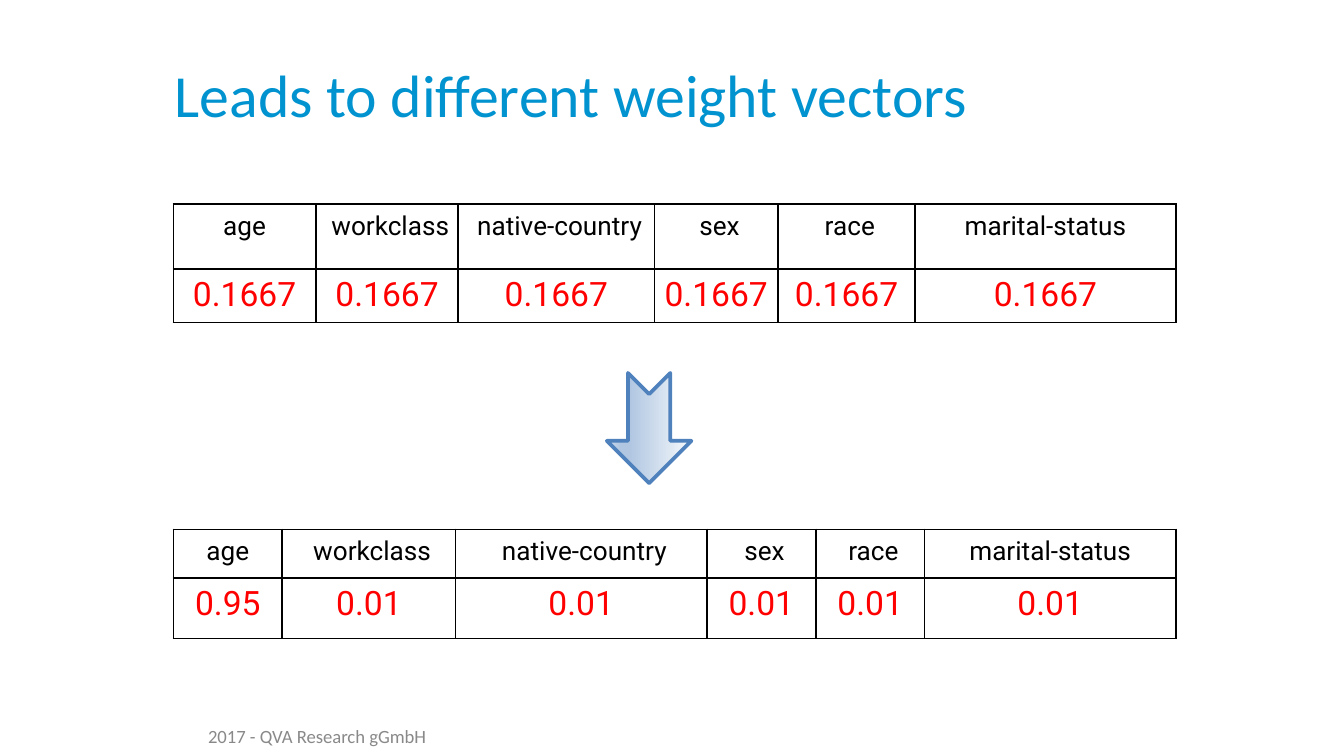
"""Builds the slide that compares two weight vectors."""
from pptx import Presentation
from pptx.dml.color import RGBColor
from pptx.enum.shapes import MSO_SHAPE as Shape
from pptx.enum.text import MSO_ANCHOR as Anchor, PP_ALIGN as Align
from pptx.oxml import parse_xml
from pptx.oxml.ns import nsdecls
from pptx.util import Inches, Pt

COLORS = {
    "title": "0093D0", "footer": "898989", "label": "000000",
    "weight": "FF0000", "border": "000000", "arrow_line": "4F81BD",
}
ARROW_STOPS = [(0, "F6F9FC"), (74, "B0C6E1"), (83, "B0C6E1"), (100, "CAD9EB")]
LABELS = ["age", " workclass", " native-country", " sex", " race", " marital-status "]
TABLES = [
    {"top": 1.52, "columns": [1.06, 1.06, 1.46, 0.92, 1.02, 1.94],
     "rows": [0.48, 0.35], "weights": ["0.1667"] * 6},
    {"top": 3.94, "columns": [0.81, 1.29, 1.87, 0.81, 0.81, 1.87],
     "rows": [0.36, 0.45], "weights": ["0.95"] + ["0.01"] * 5},
]


def write_text(frame, text, size, color, font="Calibri", align=Align.LEFT, anchor=Anchor.MIDDLE):
    frame.word_wrap = True
    frame.vertical_anchor = anchor
    paragraph = frame.paragraphs[0]
    paragraph.alignment = align
    run = paragraph.add_run()
    run.text = text
    run.font.name = font
    run.font.size = Pt(size)
    run.font.color.rgb = RGBColor.from_string(COLORS[color])


def format_cell(cell):
    cell.margin_left = cell.margin_right = Inches(0.01)
    cell.margin_top = cell.margin_bottom = Inches(0.05)
    cell.vertical_anchor = Anchor.TOP
    cell.fill.background()
    properties = cell._tc.get_or_add_tcPr()
    for index, side in enumerate("LRTB"):
        properties.insert(index, parse_xml(
            f'<a:ln{side} {nsdecls("a")} w="{Pt(0.96)}"><a:solidFill>'
            f'<a:srgbClr val="{COLORS["border"]}"/></a:solidFill></a:ln{side}>'))


presentation = Presentation()
presentation.slide_width = Inches(10)
presentation.slide_height = Inches(10 * 9 / 16)
slide = presentation.slides.add_slide(presentation.slide_layouts[5])

title = slide.shapes.title
title.left, title.top = Inches(1.2), Inches(0.23)
title.width, title.height = Inches(8.3), Inches(0.94)
write_text(title.text_frame, "Leads to different weight vectors", size=32, color="title")

footer = slide.shapes.add_textbox(Inches(1.45), Inches(5.33), Inches(3.17), Inches(0.3))
write_text(footer.text_frame, "2017 - QVA Research gGmbH", size=10, color="footer")

for layout in TABLES:
    table = slide.shapes.add_table(
        2, len(LABELS), Inches(1.29), Inches(layout["top"]),
        Inches(sum(layout["columns"])), Inches(sum(layout["rows"]))).table
    table.first_row = table.horz_banding = False
    for column, width in zip(table.columns, layout["columns"]):
        column.width = Inches(width)
    for row, height in zip(table.rows, layout["rows"]):
        row.height = Inches(height)
    lines = [(LABELS, 14, "label"), (layout["weights"], 18, "weight")]
    for row, (texts, size, color) in zip(table.rows, lines):
        for cell, text in zip(row.cells, texts):
            write_text(cell.text_frame, text, size=size, color=color, font="Roboto",
                       align=Align.CENTER, anchor=Anchor.TOP)
            format_cell(cell)

arrow = slide.shapes.add_shape(
    Shape.NOTCHED_RIGHT_ARROW, Inches(4.42), Inches(2.87), Inches(0.82), Inches(0.63))
arrow.rotation = 90
arrow.shadow.inherit = False
arrow.line.color.rgb = RGBColor.from_string(COLORS["arrow_line"])
arrow.line.width = Pt(2)
stops = "".join(f'<a:gs pos="{position * 1000}"><a:srgbClr val="{color}"/></a:gs>'
                for position, color in ARROW_STOPS)
arrow.fill.background()
no_fill = arrow._element.spPr.find("{*}noFill")
no_fill.getparent().replace(no_fill, parse_xml(
    f'<a:gradFill {nsdecls("a")} rotWithShape="1"><a:gsLst>{stops}</a:gsLst>'
    '<a:lin ang="5400000" scaled="0"/></a:gradFill>'))

presentation.save("out.pptx")
